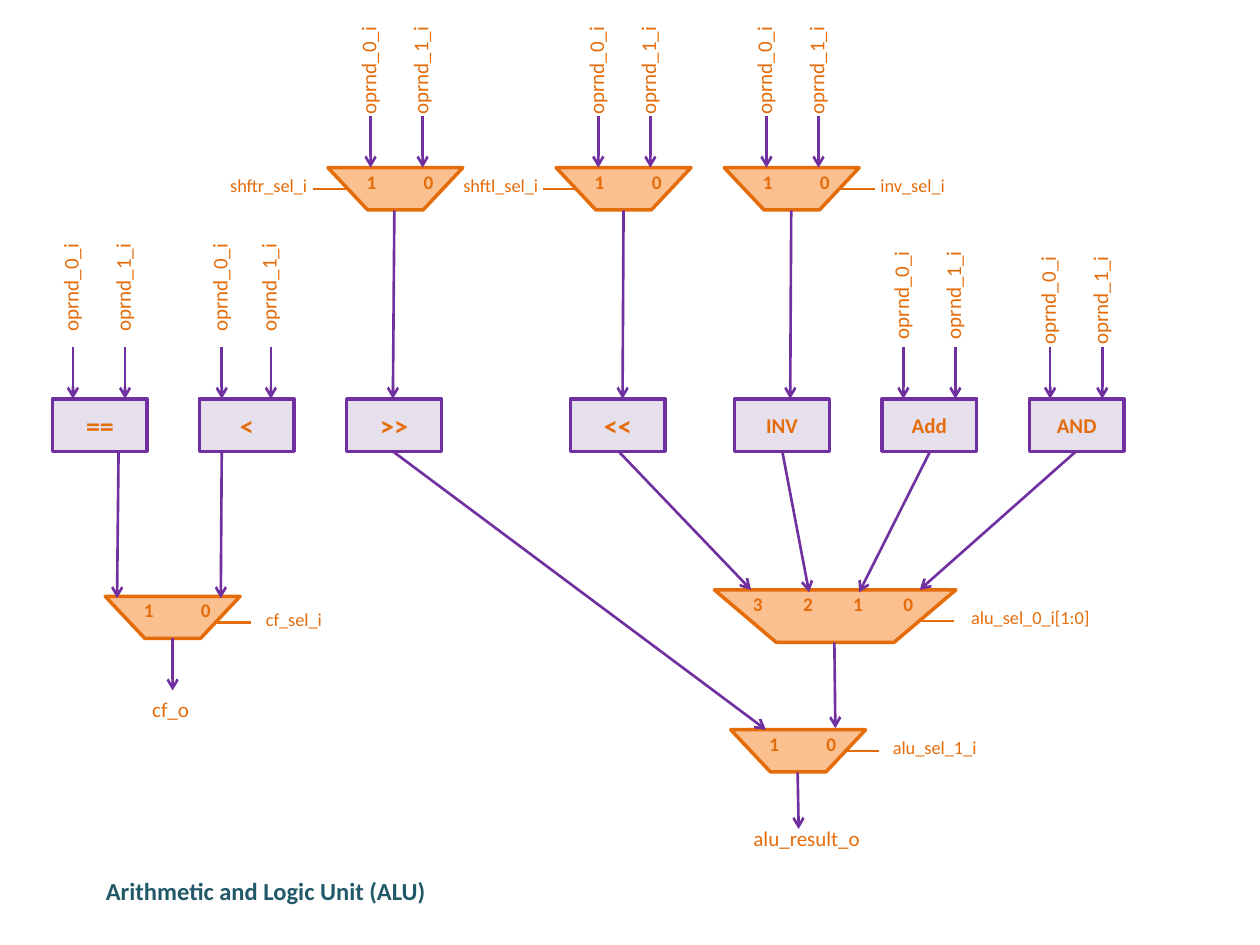
from typing import NamedTuple

from lxml.etree import SubElement
from pptx import Presentation
from pptx.dml.color import RGBColor
from pptx.enum.shapes import MSO_CONNECTOR, MSO_SHAPE
from pptx.enum.text import MSO_ANCHOR, MSO_AUTO_SIZE, PP_ALIGN
from pptx.oxml.ns import qn
from pptx.util import Cm, Pt

ORANGE = RGBColor(0xE4, 0x6C, 0x0A)
LIGHT_ORANGE = RGBColor(0xFA, 0xC0, 0x90)
PURPLE = RGBColor(0x70, 0x30, 0xA0)
LAVENDER = RGBColor(0xE6, 0xE0, 0xEC)
TEAL = RGBColor(0x21, 0x59, 0x68)
FONT = "Calibri"

# Shared measures in centimetres
UNIT_TOP, UNIT_WIDTH, UNIT_HEIGHT = 8.04, 1.91, 1.06
UNIT_BOTTOM = UNIT_TOP + UNIT_HEIGHT
MUX_ROW, ARROW_LENGTH, STUB_LENGTH = 3.38, 1.05, 0.69
LABEL_WIDTH, LABEL_HEIGHT = 2.29, 0.76
NUMBERS_INSET = 0.53


class Unit(NamedTuple):
    left: float
    name: str
    size: float


class OperandPair(NamedTuple):
    x: float
    arrow_end: float
    label_middle: float
    gap: float = 1.05


class Mux(NamedTuple):
    left: float
    top: float
    select: str
    stub_x: float
    stub_y: float
    label_left: float
    label_top: float
    label_width: float
    width: float = 2.72
    height: float = 0.85
    slope: float = 0.941
    inputs: str = "1\t0"
    input_step: float = 1.15


class Wire(NamedTuple):
    x1: float
    y1: float
    x2: float
    y2: float


UNITS = [
    Unit(1.06, "==", 16), Unit(4.02, "<", 16), Unit(6.99, ">>", 16),
    Unit(11.5, "<<", 16), Unit(14.81, "INV", 12), Unit(17.78, "Add", 12),
    Unit(20.75, "AND", 12),
]
OPERAND_PAIRS = [
    OperandPair(1.47, UNIT_TOP, 5.79),
    OperandPair(4.47, UNIT_TOP, 5.79, gap=0.99),
    OperandPair(7.47, MUX_ROW, 1.42),
    OperandPair(12.06, MUX_ROW, 1.42),
    OperandPair(15.45, MUX_ROW, 1.42),
    OperandPair(18.21, UNIT_TOP, 5.94),
    OperandPair(21.17, UNIT_TOP, 6.05),
]
MUXES = [
    Mux(6.61, MUX_ROW, "shftr_sel_i", 6.3, 3.81, 4.39, 3.38, 2.18),
    Mux(11.21, MUX_ROW, "shftl_sel_i", 10.95, 3.81, 9.09, 3.38, 2.13),
    Mux(14.6, MUX_ROW, "inv_sel_i", 16.94, 3.81, 17.5, 3.38, 1.83),
    Mux(2.12, 12.02, "cf_sel_i", 4.37, 12.55, 5.11, 12.14, 1.68),
    Mux(14.4, 11.89, "alu_sel_0_i[1:0]", 18.54, 12.52, 19.33, 12.09, 2.95,
        width=4.87, height=1.06, slope=1.178,
        inputs="3\t2\t1\t0", input_step=1.01),
    Mux(14.73, 14.71, "alu_sel_1_i", 17.02, 15.14, 17.75, 14.71, 2.24),
]
WIRES = [
    Wire(7.95, 4.24, 7.92, UNIT_TOP),
    Wire(12.57, 4.24, 12.55, UNIT_TOP),
    Wire(15.95, 4.24, 15.93, UNIT_TOP),
    Wire(2.39, UNIT_BOTTOM, 2.36, 12.06),
    Wire(4.47, UNIT_BOTTOM, 4.45, 12.06),
    Wire(3.48, 12.86, 3.48, 13.92),
    Wire(12.47, UNIT_BOTTOM, 15.14, 11.89),
    Wire(15.77, UNIT_BOTTOM, 16.31, 11.94),
    Wire(18.75, UNIT_BOTTOM, 17.32, 11.94),
    Wire(21.69, UNIT_BOTTOM, 18.54, 11.89),
    Wire(7.92, UNIT_BOTTOM, 15.44, 14.71),
    Wire(16.82, 12.95, 16.84, 14.68),
    Wire(16.08, 15.57, 16.1, 16.71),
]


def write_text(shape, text: str, *, size: float, color: RGBColor = ORANGE,
               bold: bool = False, align=PP_ALIGN.LEFT,
               anchor=MSO_ANCHOR.TOP, wrap: bool = False) -> None:
    frame = shape.text_frame
    frame.word_wrap = wrap
    frame.vertical_anchor = anchor
    paragraph = frame.paragraphs[0]
    paragraph.alignment = align
    run = paragraph.add_run()
    run.text = text
    run.font.name = FONT
    run.font.size = Pt(size)
    run.font.bold = bold
    run.font.color.rgb = color


def add_label(slide, text: str, left: float, top: float, width: float,
              height: float = LABEL_HEIGHT, *, size: float = 12,
              bold: bool = False, rotation: float = 0, wrap: bool = False):
    box = slide.shapes.add_textbox(Cm(left), Cm(top), Cm(width), Cm(height))
    box.rotation = rotation
    write_text(box, text, size=size, bold=bold, wrap=wrap)
    box.text_frame.auto_size = MSO_AUTO_SIZE.SHAPE_TO_FIT_TEXT
    return box


def add_outline(slide, kind, left: float, top: float, width: float,
                height: float, fill: RGBColor, line: RGBColor):
    shape = slide.shapes.add_shape(kind, Cm(left), Cm(top), Cm(width), Cm(height))
    shape.shadow.inherit = False
    shape.fill.solid()
    shape.fill.fore_color.rgb = fill
    shape.line.color.rgb = line
    shape.line.width = Pt(2)
    return shape


def add_line(slide, wire: Wire, color: RGBColor = PURPLE, arrow: bool = True) -> None:
    line = slide.shapes.add_connector(MSO_CONNECTOR.STRAIGHT, *map(Cm, wire))
    line.line.color.rgb = color
    line.line.width = Pt(1.5)
    if arrow:
        SubElement(line.line._get_or_add_ln(), qn("a:tailEnd"), type="arrow")
    SubElement(line._element.spPr, qn("a:effectLst"))


def add_unit(slide, unit: Unit) -> None:
    box = add_outline(slide, MSO_SHAPE.RECTANGLE, unit.left, UNIT_TOP,
                      UNIT_WIDTH, UNIT_HEIGHT, LAVENDER, PURPLE)
    write_text(box, unit.name, size=unit.size, bold=True, wrap=True,
               align=PP_ALIGN.CENTER, anchor=MSO_ANCHOR.MIDDLE)


def add_operands(slide, pair: OperandPair) -> None:
    for index in range(2):
        x = pair.x + index * pair.gap
        add_line(slide, Wire(x, pair.arrow_end - ARROW_LENGTH, x, pair.arrow_end))
        add_label(slide, f"oprnd_{index}_i", x - 0.05 - LABEL_WIDTH / 2,
                  pair.label_middle - LABEL_HEIGHT / 2, LABEL_WIDTH, rotation=270)


def add_mux(slide, mux: Mux) -> None:
    body = add_outline(slide, MSO_SHAPE.TRAPEZOID, mux.left, mux.top,
                       mux.width, mux.height, LIGHT_ORANGE, ORANGE)
    body.adjustments[0] = mux.slope
    body.rotation = 180
    # Input numbers stand on evenly spaced tab stops
    numbers = add_label(slide, mux.inputs, mux.left + NUMBERS_INSET, mux.top - 0.08,
                        mux.width - NUMBERS_INSET, 0.74, size=11, bold=True, wrap=True)
    properties = numbers.text_frame.paragraphs[0]._p.get_or_add_pPr()
    tab_stops = SubElement(properties, qn("a:tabLst"))
    for stop in range(1, mux.inputs.count("\t") + 1):
        SubElement(tab_stops, qn("a:tab"), pos=str(Cm(stop * mux.input_step)), algn="l")
    # Select signal
    add_line(slide, Wire(mux.stub_x, mux.stub_y, mux.stub_x + STUB_LENGTH, mux.stub_y),
             color=ORANGE, arrow=False)
    add_label(slide, mux.select, mux.label_left, mux.label_top, mux.label_width,
              0.72, size=10.5)


presentation = Presentation()
presentation.slide_width, presentation.slide_height = Cm(25.4), Cm(19.05)
slide = presentation.slides.add_slide(presentation.slide_layouts[5])

# Title
title = slide.shapes.title
title.left, title.top, title.width, title.height = map(Cm, (1.88, 17.53, 7.01, 0.86))
write_text(title, "Arithmetic and Logic Unit (ALU)", size=14, color=TEAL, bold=True)

# Diagram
for unit in UNITS:
    add_unit(slide, unit)
for mux in MUXES:
    add_mux(slide, mux)
for pair in OPERAND_PAIRS:
    add_operands(slide, pair)
for wire in WIRES:
    add_line(slide, wire)

# Outputs
add_label(slide, "cf_o", 2.82, 13.92, 1.27)
add_label(slide, "alu_result_o", 14.94, 16.51, 2.69)

presentation.save("out.pptx")
